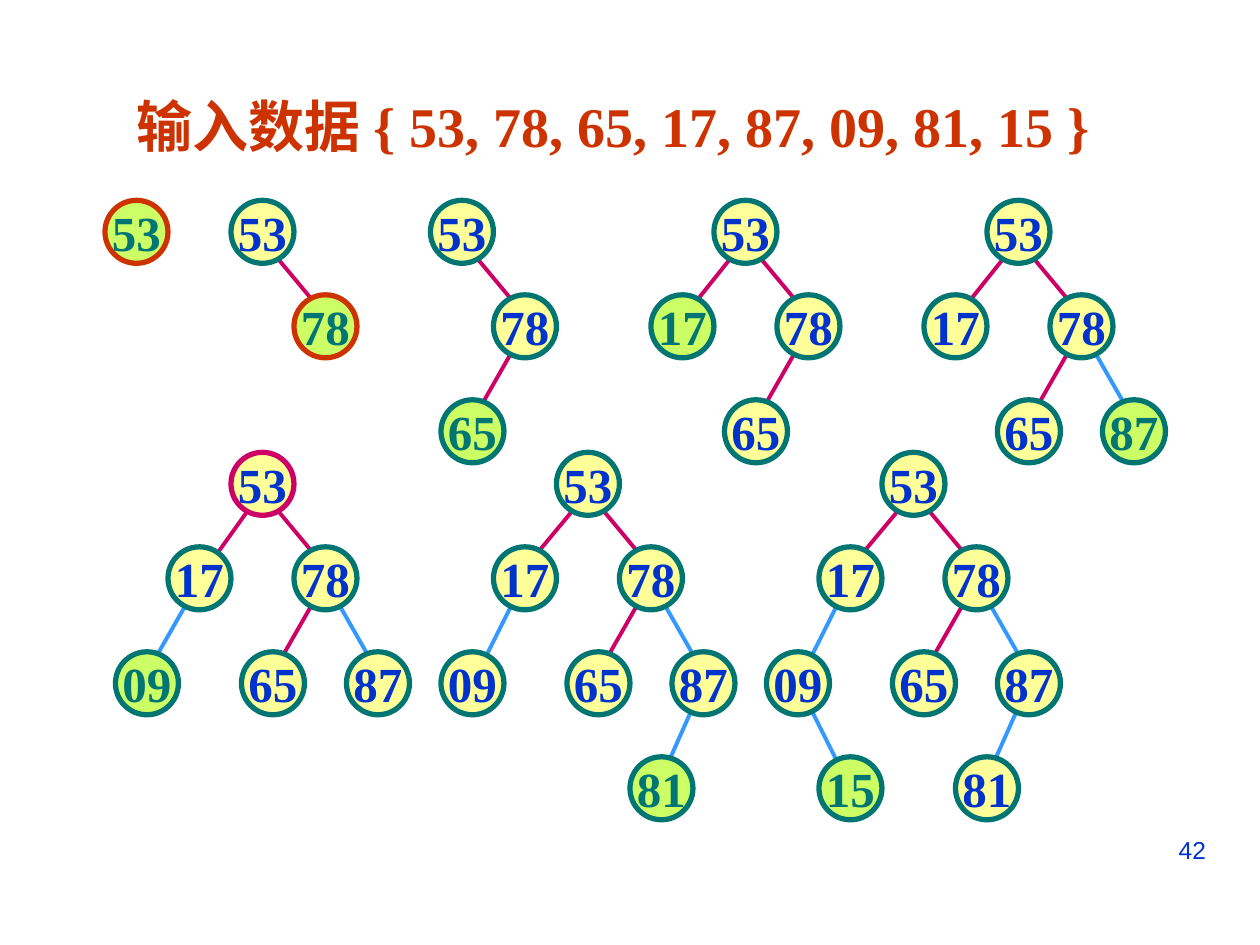
"""Draw the step-by-step growth of a binary search tree."""
from lxml import etree
from pptx import Presentation
from pptx.dml.color import RGBColor
from pptx.enum.shapes import MSO_CONNECTOR, MSO_SHAPE
from pptx.enum.text import MSO_ANCHOR, MSO_AUTO_SIZE, PP_ALIGN
from pptx.oxml.ns import qn
from pptx.util import Inches, Pt

LEFT, CENTER, RIGHT = PP_ALIGN.LEFT, PP_ALIGN.CENTER, PP_ALIGN.RIGHT
TOP, MIDDLE = MSO_ANCHOR.TOP, MSO_ANCHOR.MIDDLE
OVAL, STRAIGHT = MSO_SHAPE.OVAL, MSO_CONNECTOR.STRAIGHT

RED = RGBColor(0xCC, 0x33, 0x00)
BLUE = RGBColor(0x00, 0x33, 0xCC)
TEAL = RGBColor(0x00, 0x75, 0x72)
MAGENTA = RGBColor(0xCC, 0x00, 0x66)
SKY = RGBColor(0x33, 0x99, 0xFF)
YELLOW = RGBColor(0xFF, 0xFF, 0x99)
LIME = RGBColor(0xCC, 0xFF, 0x66)

CELL = Inches(1) / 12
DIAMETER = 6
UPPER, LOWER = 19.08, 43.08

# Key: column and row of its node, counted in cells from the root
NODES = {
    "53": (0, 0), "17": (-6, 9), "78": (6, 9), "09": (-11, 19),
    "65": (1, 19), "87": (11, 19), "15": (-6, 29), "81": (7, 29),
}
# Child key: start and end of the edge to its parent, and its colour
EDGES = {
    "17": ((2, 5), (-3, 11), MAGENTA),
    "78": ((4, 5), (9, 11), MAGENTA),
    "09": ((-4, 14), (-7, 20), SKY),
    "65": ((8, 14), (4, 21), MAGENTA),
    "87": ((10, 14), (14, 21), SKY),
    "15": ((-7, 24), (-4, 30), SKY),
    "81": ((14, 22), (10, 31), SKY),
}
# Root column, root row, keys, new key, own outlines, own edge ends
TREES = [
    (10, UPPER, "53", "53", {"53": RED}, {}),
    (22, UPPER, "53 78", "78", {"78": RED}, {}),
    (41, UPPER, "53 78 65", "65", {}, {}),
    (68, UPPER, "53 78 65 17", "17", {}, {"17": (-2, 10)}),
    (94, UPPER, "53 78 65 17 87", "87", {}, {"17": (-2, 10)}),
    (22, LOWER, "53 78 65 17 87 09", "09", {"53": MAGENTA},
     {"17": (-3, 12), "09": (-8, 21)}),
    (53, LOWER, "53 78 65 17 87 09 81", "81", {}, {}),
    (84, LOWER, "53 78 65 17 87 09 81 15", "15", {}, {}),
]


def write(shape, text, size, color, font="Times New Roman", bold=True,
          align=LEFT, anchor=TOP, wrap=True):
    """Put one formatted paragraph into a shape."""
    frame = shape.text_frame
    frame.text = text
    frame.auto_size = MSO_AUTO_SIZE.NONE
    frame.word_wrap = wrap
    frame.vertical_anchor = anchor
    paragraph = frame.paragraphs[0]
    paragraph.alignment = align
    paragraph.font.name = font
    paragraph.font.size = Pt(size)
    paragraph.font.bold = bold
    paragraph.font.color.rgb = color


def place(column, row):
    """Turn a grid position into slide lengths."""
    return round(column * CELL), round(row * CELL)


def add_edge(slide, start, end, color):
    """Draw one line from parent to child."""
    edge = slide.shapes.add_connector(STRAIGHT, *place(*start), *place(*end))
    edge.line.color.rgb = color
    edge.line.width = Pt(2.25)
    etree.SubElement(edge._element.spPr, qn("a:effectLst"))


def add_node(slide, position, key, is_new, outline):
    """Draw one key in a circle, highlighted when newly inserted."""
    node = slide.shapes.add_shape(OVAL, *place(*position), *place(DIAMETER, DIAMETER))
    node.shadow.inherit = False
    node.fill.solid()
    node.fill.fore_color.rgb = LIME if is_new else YELLOW
    node.line.color.rgb = outline
    node.line.width = Pt(3)
    write(node, key, 28, TEAL if is_new else BLUE,
          align=CENTER, anchor=MIDDLE, wrap=False)


def add_tree(slide, column, row, keys, new_key, outlines, ends):
    """Draw the edges of one tree and then its nodes."""
    def shift(offset):
        return column + offset[0], row + offset[1]

    keys = keys.split()
    for key in keys[1:]:
        start, end, color = EDGES[key]
        add_edge(slide, shift(start), shift(ends.get(key, end)), color)
    for key in keys:
        add_node(slide, shift(NODES[key]), key, key == new_key,
                 outlines.get(key, TEAL))


def add_title(slide, text):
    """Move and format the title placeholder."""
    title = slide.shapes.title
    title.left, title.top = Inches(0.98), Inches(0.68)
    title.width, title.height = Inches(8), Inches(0.63)
    write(title, text, 32, RED)


def add_page_number(slide, number):
    """Write the page number at the lower right."""
    box = slide.shapes.add_textbox(Inches(7.17), Inches(6.58),
                                   Inches(2.5), Inches(0.52))
    write(box, number, 14, BLUE, font="Arial", bold=False, align=RIGHT)


def main():
    """Build and save the slide."""
    deck = Presentation()
    deck.slide_width, deck.slide_height = Inches(10), Inches(7.5)
    slide = deck.slides.add_slide(deck.slide_layouts[5])
    add_title(slide, "输入数据 { 53, 78, 65, 17, 87, 09, 81, 15 }")
    for tree in TREES:
        add_tree(slide, *tree)
    add_page_number(slide, "42")
    deck.save("out.pptx")


if __name__ == "__main__":
    main()
